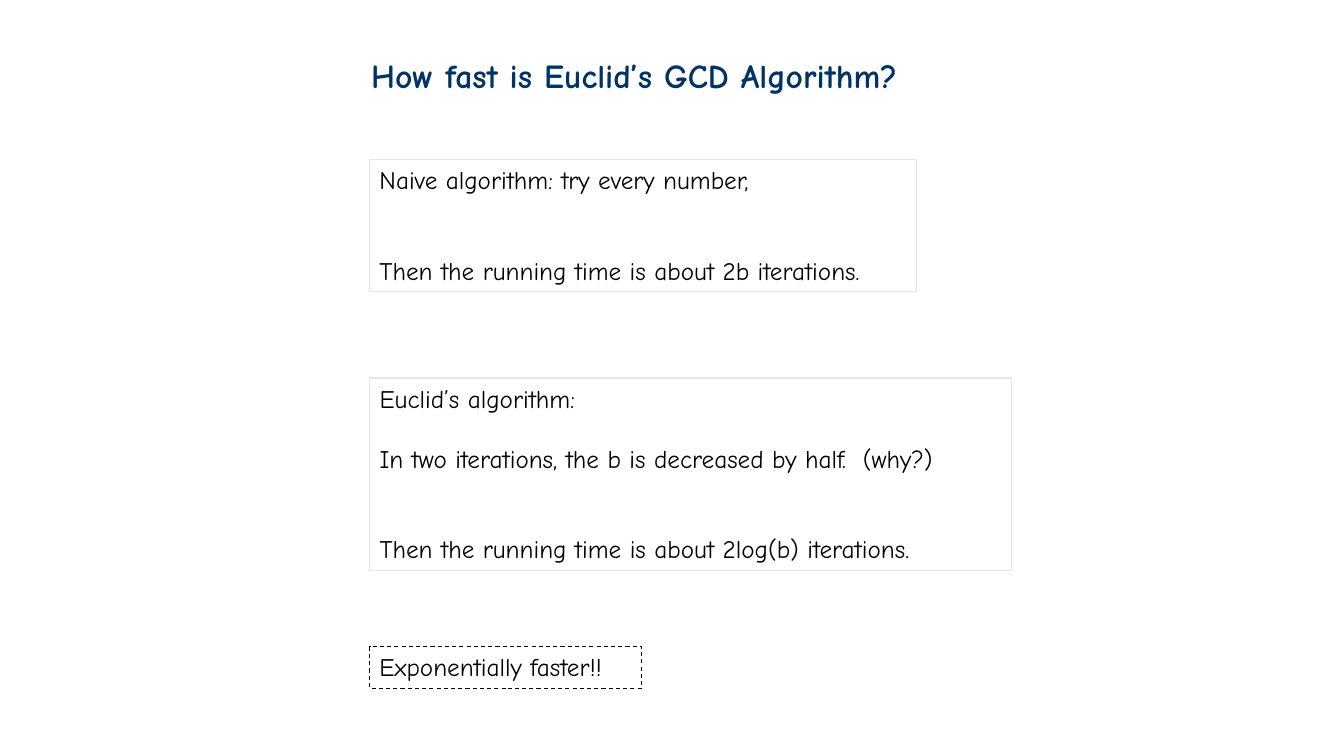
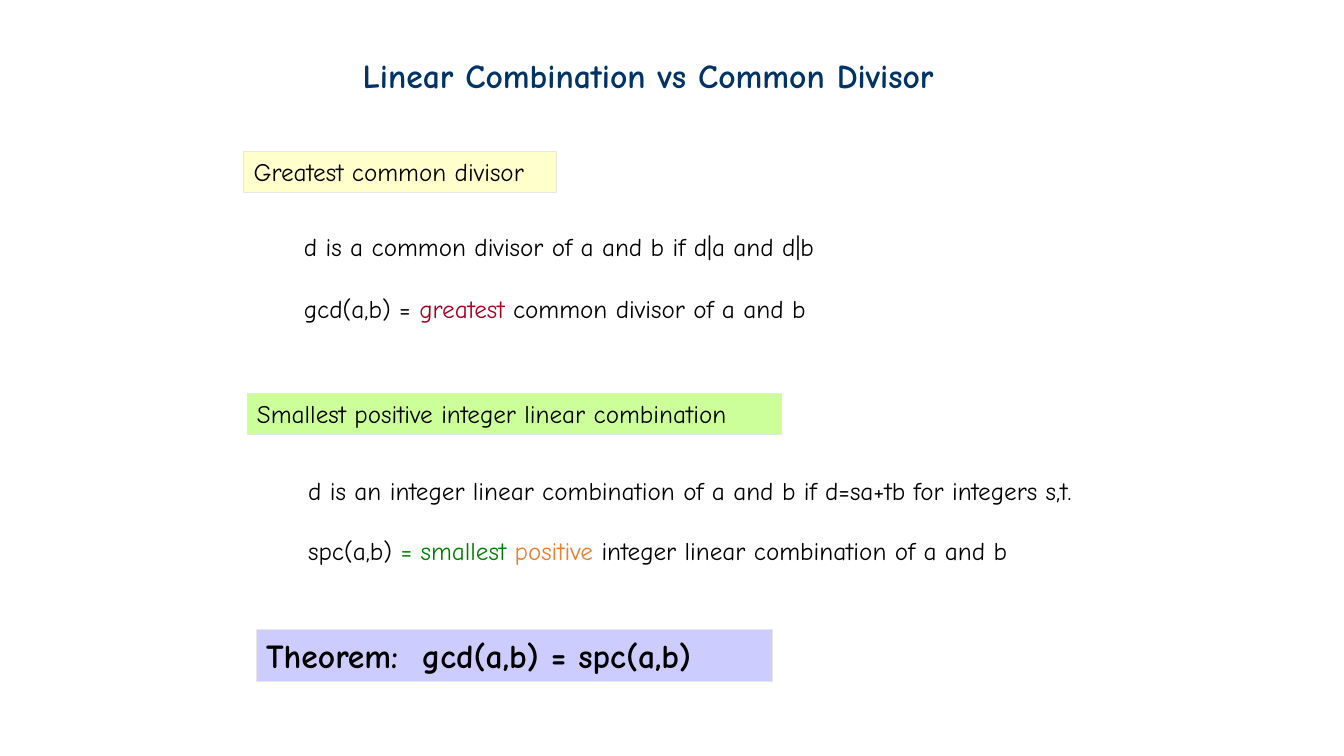
from dataclasses import dataclass
from typing import Optional

from pptx import Presentation
from pptx.dml.color import RGBColor
from pptx.enum.dml import MSO_LINE
from pptx.enum.shapes import MSO_SHAPE
from pptx.enum.text import MSO_ANCHOR, PP_ALIGN
from pptx.slide import Slide
from pptx.text.text import TextFrame
from pptx.util import Pt

# Shared style
FONT = "Comic Neue"
BLACK, NAVY, GREY = "000000", "003366", "E7E6E6"
RED, GREEN, ORANGE = "A50021", "008000", "ED7D31"
YELLOW, LIME, LAVENDER = "FFFFCC", "CCFF99", "CCCCFF"
BODY_SIZE, LARGE_SIZE = 18, 24
TITLE_TOP, TITLE_HEIGHT = 36, 36
LINE_HEIGHT, LABEL_HEIGHT = 21.5, 29.5
WIDE_GAP = 2 * LINE_HEIGHT


@dataclass(frozen=True)
class Span:
    text: str
    color: str = BLACK


@dataclass(frozen=True)
class Para:
    spans: tuple[Span, ...]
    before: float = 0


@dataclass(frozen=True)
class Box:
    left: float
    top: float
    width: float
    height: float
    paras: tuple[Para, ...]
    size: float = BODY_SIZE
    bold: bool = False
    fill: Optional[str] = None
    line: Optional[str] = None
    dashed: bool = False


@dataclass(frozen=True)
class Page:
    title: str
    title_left: float
    title_width: float
    boxes: tuple[Box, ...]


def rgb(color: str) -> RGBColor:
    return RGBColor.from_string(color)


def plain(text: str, *, color: str = BLACK, before: float = 0) -> Para:
    return Para((Span(text, color),), before)


def write_text(frame: TextFrame, paras: tuple[Para, ...], *, size: float, bold: bool) -> None:
    frame.word_wrap = True
    frame.vertical_anchor = MSO_ANCHOR.TOP
    for index, para in enumerate(paras):
        target = frame.add_paragraph() if index else frame.paragraphs[0]
        target.alignment = PP_ALIGN.LEFT
        target.space_before = Pt(para.before)
        for span in para.spans:
            run = target.add_run()
            run.text = span.text
            run.font.name = FONT
            run.font.size = Pt(size)
            run.font.bold = bold
            run.font.color.rgb = rgb(span.color)


def draw_box(slide: Slide, box: Box) -> None:
    place = [Pt(value) for value in (box.left, box.top, box.width, box.height)]
    if box.line:
        shape = slide.shapes.add_shape(MSO_SHAPE.RECTANGLE, *place)
        shape.shadow.inherit = False
        shape.line.color.rgb = rgb(box.line)
        shape.line.width = Pt(0.75)
        if box.dashed:
            shape.line.dash_style = MSO_LINE.DASH
        if box.fill:
            shape.fill.solid()
            shape.fill.fore_color.rgb = rgb(box.fill)
        else:
            shape.fill.background()
    else:
        shape = slide.shapes.add_textbox(*place)
    write_text(shape.text_frame, box.paras, size=box.size, bold=box.bold)


def draw_page(deck: Presentation, page: Page) -> None:
    slide = deck.slides.add_slide(deck.slide_layouts[6])
    title = Box(page.title_left, TITLE_TOP, page.title_width, TITLE_HEIGHT,
                (plain(page.title, color=NAVY),), size=LARGE_SIZE, bold=True)
    for box in (title, *page.boxes):
        draw_box(slide, box)


# Running times of the two algorithms
speed = Page("How fast is Euclid’s GCD Algorithm?", 258, 438.5, (
    Box(264, 114, 391, 94.5, (
        plain("Naive algorithm: try every number,"),
        plain("Then the running time is about 2b iterations.", before=WIDE_GAP),
    ), line=GREY),
    Box(264, 270, 458.5, 137.5, (
        plain("Euclid’s algorithm:"),
        plain("In two iterations, the b is decreased by half.  (why?)", before=LINE_HEIGHT),
        plain("Then the running time is about 2log(b) iterations.", before=WIDE_GAP),
    ), line=GREY),
    Box(264, 462, 194.5, LABEL_HEIGHT, (plain("Exponentially faster!!"),),
        line=BLACK, dashed=True),
))

# Definitions and the theorem that joins them
comparison = Page("Linear Combination vs Common Divisor", 252, 455, (
    Box(174, 108, 223.5, LABEL_HEIGHT, (plain("Greatest common divisor"),),
        fill=YELLOW, line=GREY),
    Box(210, 162, 402, LABEL_HEIGHT,
        (plain("d is a common divisor of a and b if d|a and d|b"),)),
    Box(210, 206, 397, LABEL_HEIGHT, (
        Para((Span("gcd(a,b) = "), Span("greatest", RED),
              Span(" common divisor of a and b"))),
    )),
    Box(213, 336, 610.5, 72, (
        plain("d is an integer linear combination of a and b if d=sa+tb for integers s,t."),
        Para((Span("spc(a,b) "), Span("= smallest ", GREEN), Span("positive", ORANGE),
              Span(" integer linear combination of a and b")), LINE_HEIGHT),
    )),
    Box(176.5, 281, 381.5, LABEL_HEIGHT,
        (plain("Smallest positive integer linear combination"),), fill=LIME, line=GREY),
    Box(183, 450, 368.5, 36.5, (plain("Theorem:  gcd(a,b) = spc(a,b)"),),
        size=LARGE_SIZE, bold=True, fill=LAVENDER, line=GREY),
))

# Build the deck
deck = Presentation()
deck.slide_width, deck.slide_height = Pt(960), Pt(540)
for page in (speed, comparison):
    draw_page(deck, page)
deck.save("out.pptx")
